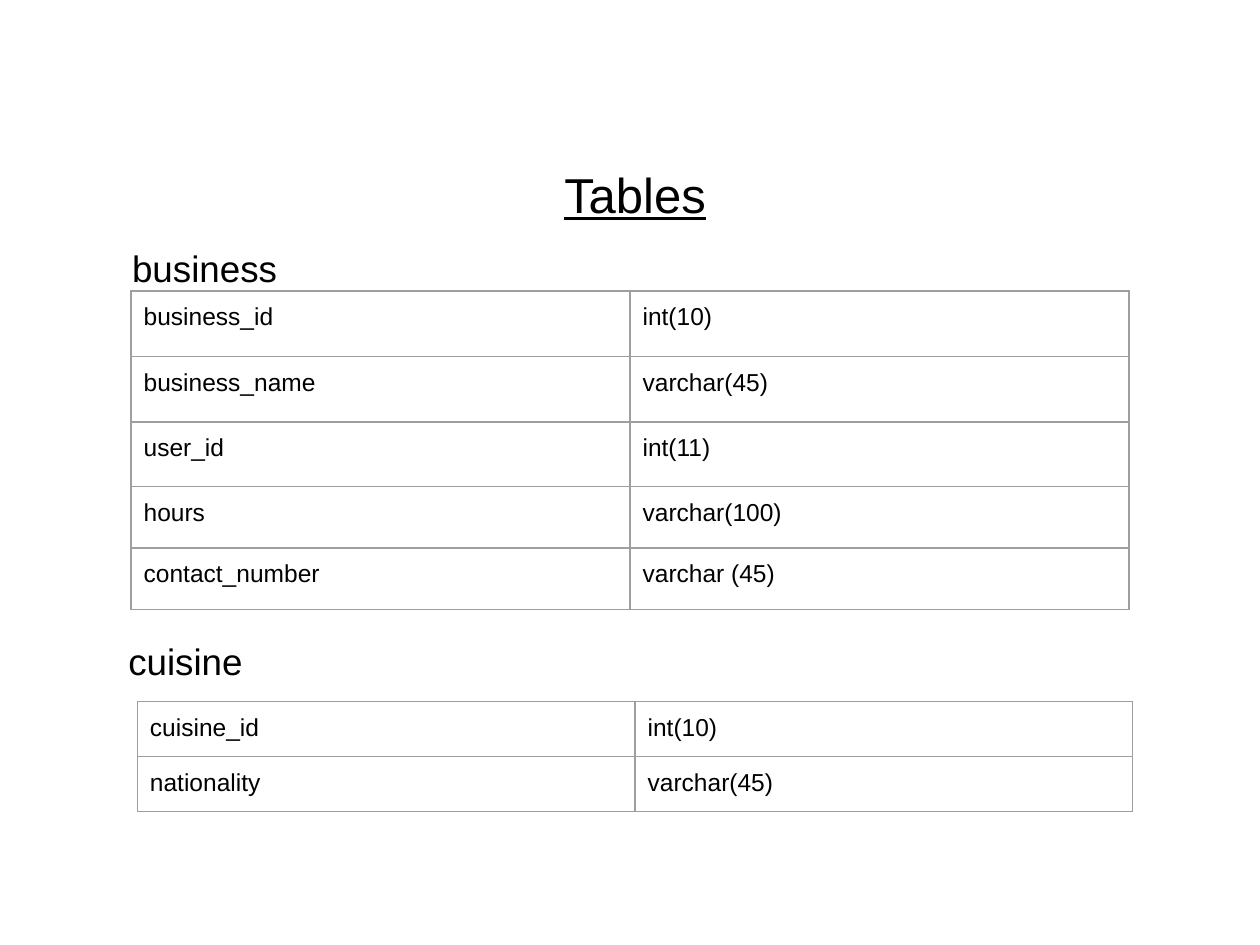
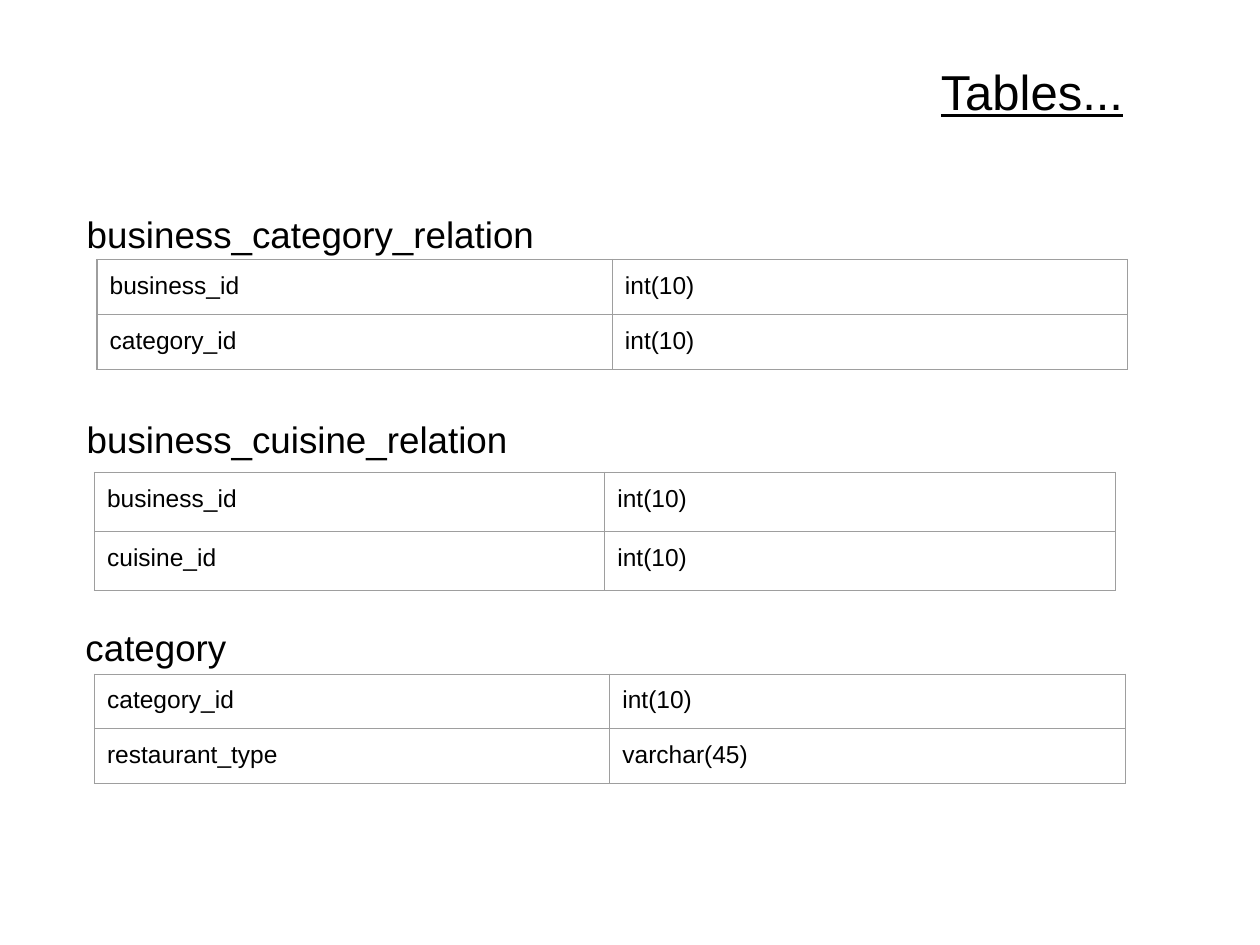
from lxml.etree import SubElement
from pptx import Presentation
from pptx.dml.color import RGBColor
from pptx.enum.text import MSO_ANCHOR, PP_ALIGN
from pptx.oxml.ns import qn
from pptx.util import Emu, Pt

PX = 9144
PAD = 10 * PX
FRAME = Emu(328 * PX)
FONT = "Arial"
BLACK = "000000"
GRID = "9E9E9E"


def add_run(p, text, size):
    r = p.add_run()
    r.text = text
    r.font.name = FONT
    r.font.size = Pt(size)
    r.font.color.rgb = RGBColor.from_string(BLACK)
    return r


def add_box(s, box):
    tf = s.shapes.add_textbox(*[Emu(v * PX) for v in box]).text_frame
    tf.word_wrap = True
    tf.margin_left = tf.margin_right = tf.margin_top = tf.margin_bottom = PAD
    return tf


slides = [
    ("Tables", (26, 123, 956, 67), [
        ("business", (95, 185, 813, 67), (104, 231), 396, [52, 52, 51, 49, 49],
         [("business_id", "int(10)"),
          ("business_name", "varchar(45)"),
          ("user_id", "int(11)"),
          ("hours", "varchar(100)"),
          ("contact_number", "varchar (45)")]),
        ("cuisine", (92, 497, 780, 47), (109, 557), 395, [33, 33],
         [("cuisine_id", "int(10)"),
          ("nationality", "varchar(45)")]),
    ]),
    ("Tables...", (656, 32, 326, 86), [
        ("business_category_relation", (59, 158, 850, 44), (77, 206), 409, [38, 44],
         [("business_id", "int(10)"),
          ("category_id", "int(10)")]),
        ("business_cuisine_relation", (59, 321, 834, 48), (75, 375), 405, [47, 47],
         [("business_id", "int(10)"),
          ("cuisine_id", "int(10)")]),
        ("category", (58, 486, 819, 44), (75, 535), 409, [0, 0],
         [("category_id", "int(10)"),
          ("restaurant_type", "varchar(45)")]),
    ]),
]

prs = Presentation()
prs.slide_width = Emu(1000 * PX)
prs.slide_height = Emu(750 * PX)

for title, title_box, tables in slides:
    s = prs.slides.add_slide(prs.slide_layouts[6])

    tf = add_box(s, title_box)
    tf.vertical_anchor = MSO_ANCHOR.MIDDLE
    p = tf.paragraphs[0]
    p.alignment = PP_ALIGN.CENTER
    p.line_spacing = 0.9
    p.space_before = Pt(10)
    add_run(p, title, 28).font.underline = True

    for name, name_box, (x, y), col_width, heights, fields in tables:
        frame = s.shapes.add_table(
            len(fields), 2, Emu(x * PX), Emu(y * PX), FRAME, FRAME)
        tbl = frame.table
        tbl.first_row = False
        tbl.horz_banding = False
        for col in tbl.columns:
            col.width = Emu(col_width * PX)
        for row, height, field in zip(tbl.rows, heights, fields):
            row.height = Emu(height * PX)
            for cell, text in zip(row.cells, field):
                cell.margin_left = cell.margin_right = PAD
                cell.margin_top = cell.margin_bottom = PAD
                p = cell.text_frame.paragraphs[0]
                p.line_spacing = 1.0
                p.space_before = p.space_after = Pt(0)
                add_run(p, text, 14)
                tcPr = cell._tc.get_or_add_tcPr()
                for side in ("a:lnL", "a:lnR", "a:lnT", "a:lnB"):
                    ln = SubElement(tcPr, qn(side), w=str(Pt(0.75)))
                    fill = SubElement(ln, qn("a:solidFill"))
                    SubElement(fill, qn("a:srgbClr"), val=GRID)
                cell.fill.background()
        frame.width = frame.height = FRAME

        add_run(add_box(s, name_box).paragraphs[0], name, 21)

prs.save("out.pptx")
